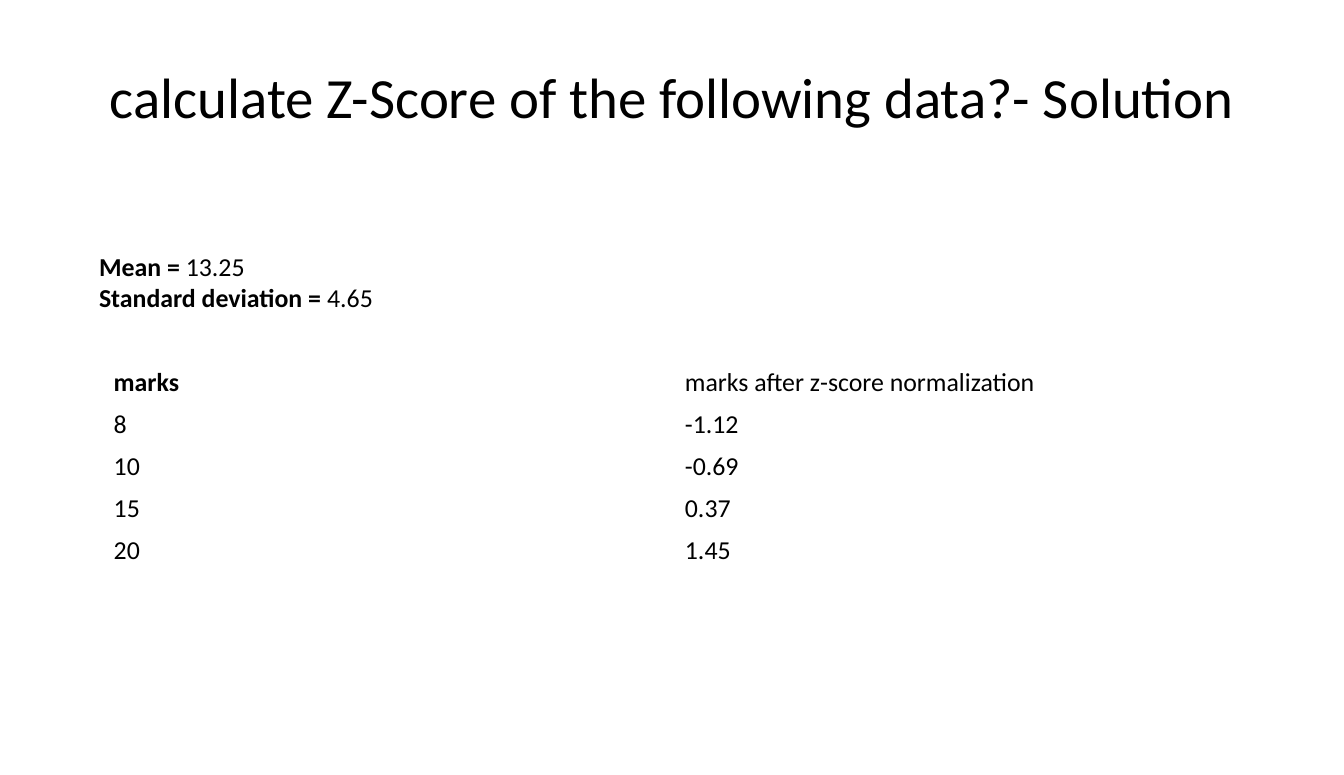
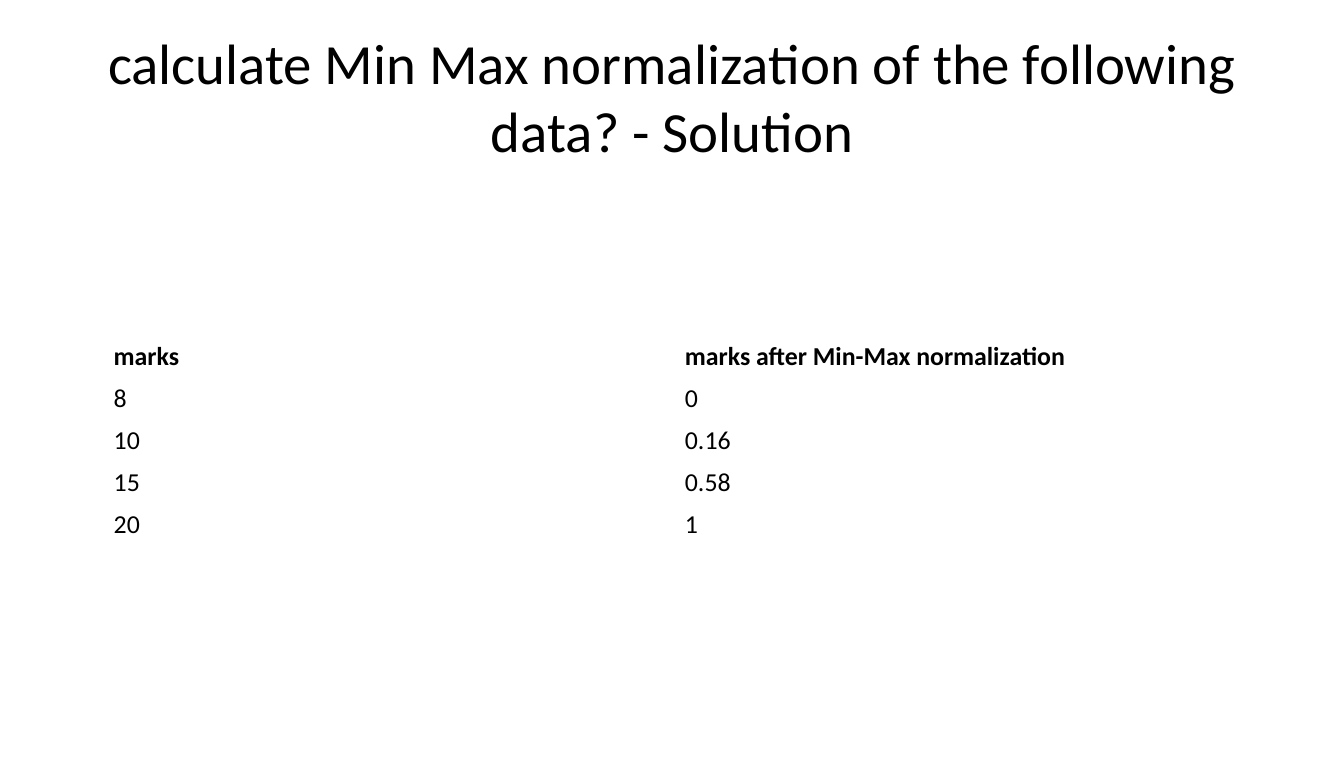
"""Build two slides showing the results of z-score and min-max normalization."""
from dataclasses import dataclass

from pptx import Presentation
from pptx.dml.color import RGBColor
from pptx.enum.text import MSO_ANCHOR, MSO_AUTO_SIZE, PP_ALIGN
from pptx.util import Inches, Pt

MARKS = ["8", "10", "15", "20"]
SLIDES = [
    {
        "title": "calculate Z-Score of the following data?- Solution",
        "statistics": [("Mean =", " 13.25"), ("Standard deviation = ", "4.65")],
        "result": "marks after z-score normalization",
        "result_bold": False,
        "scores": ["-1.12", "-0.69", "0.37", "1.45"],
        "table_top": 3.5,
    },
    {
        "title": "calculate Min Max normalization of the following data? - Solution",
        "statistics": [],
        "result": "marks after Min-Max normalization",
        "result_bold": True,
        "scores": ["0", "0.16", "0.58", "1"],
        "table_top": 3.25,
    },
]


@dataclass(frozen=True)
class Theme:
    font: str = "Calibri"
    ink: RGBColor = RGBColor(0, 0, 0)
    paper: RGBColor = RGBColor(255, 255, 255)
    title_size: float = 39.6
    body_size: float = 18


THEME = Theme()
TITLE_BOX = (0.65, 0.3, 11.7, 1.25)
STATISTICS_BOX = (0.86, 2.38, 6.5, 0.71)
TABLE_LEFT, TABLE_WIDTH, ROW_HEIGHT = 0.97, 11.05, 0.4
CELL_MARGIN_X, CELL_MARGIN_Y = 0.13, 0.05


def box(values):
    return [Inches(value) for value in values]


def add_run(paragraph, text, size=THEME.body_size, bold=False):
    run = paragraph.add_run()
    run.text = text
    run.font.name = THEME.font
    run.font.size = Pt(size)
    run.font.bold = bold
    run.font.color.rgb = THEME.ink


def set_title(slide, text):
    title = slide.shapes.title
    title.left, title.top, title.width, title.height = box(TITLE_BOX)
    frame = title.text_frame
    frame.word_wrap = True
    frame.auto_size = MSO_AUTO_SIZE.NONE
    frame.vertical_anchor = MSO_ANCHOR.MIDDLE
    paragraph = frame.paragraphs[0]
    paragraph.alignment = PP_ALIGN.CENTER
    add_run(paragraph, text, THEME.title_size)


def add_statistics(slide, statistics):
    frame = slide.shapes.add_textbox(*box(STATISTICS_BOX)).text_frame
    frame.word_wrap = True
    frame.auto_size = MSO_AUTO_SIZE.SHAPE_TO_FIT_TEXT
    for index, (label, value) in enumerate(statistics):
        paragraph = frame.add_paragraph() if index else frame.paragraphs[0]
        add_run(paragraph, label, bold=True)
        add_run(paragraph, value)


def add_marks_table(slide, content):
    rows = [[("marks", True), (content["result"], content["result_bold"])]]
    rows += [[(mark, False), (score, False)] for mark, score in zip(MARKS, content["scores"])]
    bounds = box((TABLE_LEFT, content["table_top"], TABLE_WIDTH, ROW_HEIGHT * len(rows)))
    table = slide.shapes.add_table(len(rows), len(rows[0]), *bounds).table
    table.first_row = table.horz_banding = False
    for row_index, row in enumerate(rows):
        for column_index, (text, bold) in enumerate(row):
            cell = table.cell(row_index, column_index)
            cell.fill.background()
            cell.vertical_anchor = MSO_ANCHOR.MIDDLE
            cell.margin_left = cell.margin_right = Inches(CELL_MARGIN_X)
            cell.margin_top = cell.margin_bottom = Inches(CELL_MARGIN_Y)
            add_run(cell.text_frame.paragraphs[0], text, bold=bold)


def build():
    deck = Presentation()
    deck.slide_width, deck.slide_height = Inches(13), Inches(7.5)
    title_only = deck.slide_layouts.get_by_name("Title Only")
    background = deck.slide_master.background.fill
    background.solid()
    background.fore_color.rgb = THEME.paper
    for content in SLIDES:
        slide = deck.slides.add_slide(title_only)
        set_title(slide, content["title"])
        add_marks_table(slide, content)
        if content["statistics"]:
            add_statistics(slide, content["statistics"])
    deck.save("out.pptx")


build()
